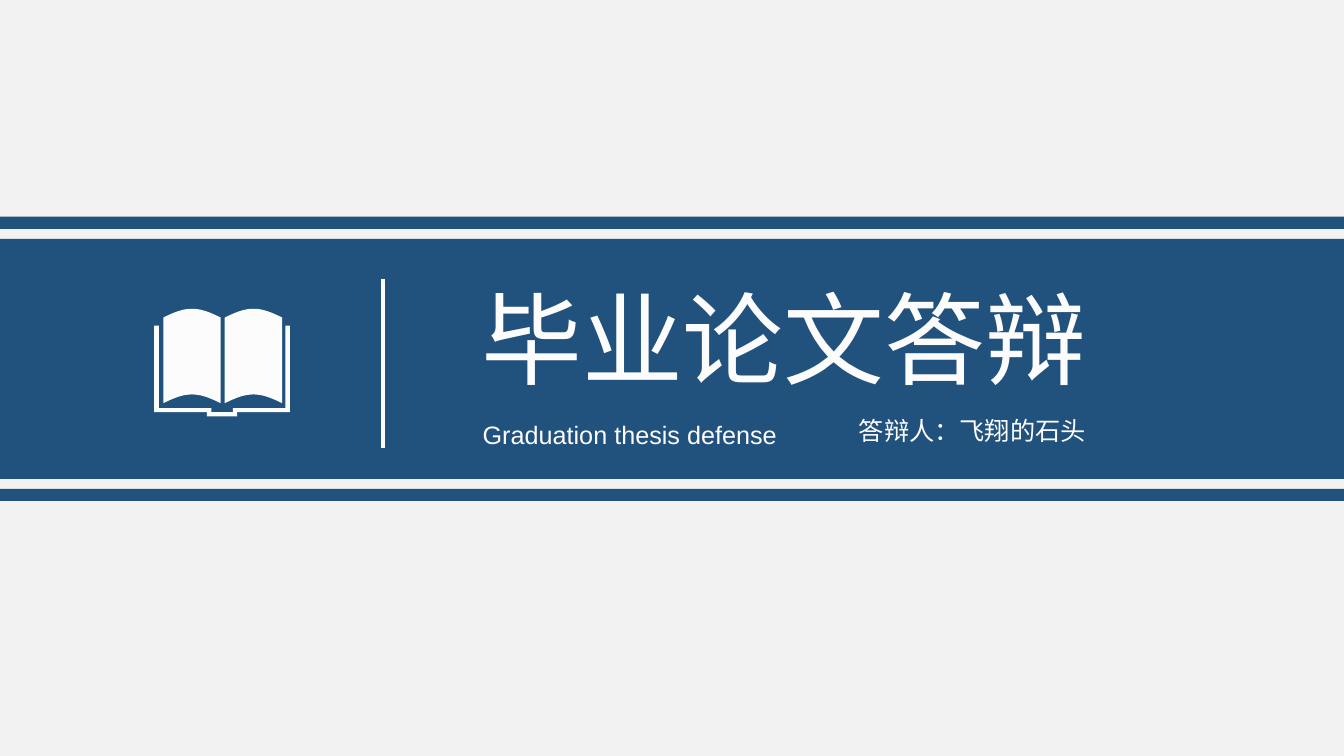
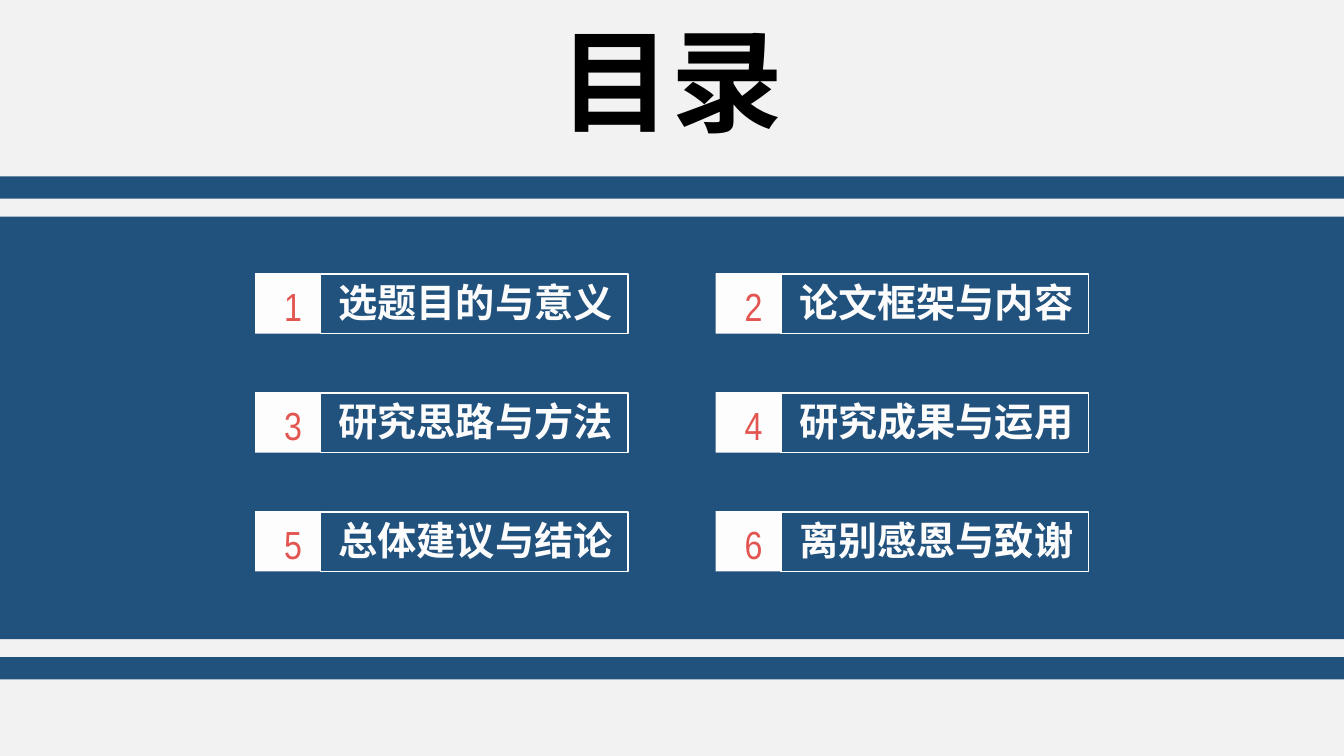
from math import pi, sin

from lxml.etree import SubElement
from pptx import Presentation
from pptx.dml.color import RGBColor
from pptx.enum.shapes import MSO_CONNECTOR as Connector, MSO_SHAPE as Shape
from pptx.enum.text import MSO_ANCHOR as Anchor, PP_ALIGN as Align
from pptx.oxml.ns import qn
from pptx.util import Emu, Pt

SLIDE_WIDTH = Emu(12192000)
SLIDE_HEIGHT = Emu(6858000)
COLUMNS = 40
CELL = SLIDE_WIDTH / COLUMNS

NAVY = RGBColor(0x21, 0x51, 0x7D)
PAPER = RGBColor(0xF2, 0xF2, 0xF2)
WHITE = RGBColor(0xFC, 0xFC, 0xFC)
TILE_WHITE = RGBColor(0xFD, 0xFD, 0xFD)
CORAL = RGBColor(0xE3, 0x55, 0x51)
BLACK = RGBColor(0, 0, 0)

CJK = "Noto Sans CJK SC"
CJK_TITLE = "Noto Sans CJK JP"
CJK_SPACING = 0.9

COVER_TITLE = {"name": CJK_TITLE, "size": Pt(72), "color": WHITE}
COVER_SUBTITLE = {"name": "Arial", "size": Pt(18), "color": WHITE}
COVER_AUTHOR = {"name": CJK, "size": Pt(18), "color": WHITE}
AGENDA_TITLE = {"name": CJK, "size": Pt(80), "bold": True, "color": BLACK}
ITEM_LABEL = {"name": CJK, "size": Pt(28), "bold": True, "color": WHITE}
ITEM_NUMBER = {"name": "Arial Narrow", "size": Pt(28), "color": CORAL}

AGENDA = [
    "选题目的与意义",
    "论文框架与内容",
    "研究思路与方法",
    "研究成果与运用",
    "总体建议与结论",
    "离别感恩与致谢",
]


def cells(*counts):
    return [Emu(round(count * CELL)) for count in counts]


def add_page(deck):
    page = deck.slides.add_slide(deck.slide_layouts[6])
    page.background.fill.solid()
    page.background.fill.fore_color.rgb = PAPER
    return page


def paint(shape, fill=None, line=None):
    shape.shadow.inherit = False
    if fill is None:
        shape.fill.background()
    else:
        shape.fill.solid()
        shape.fill.fore_color.rgb = fill
    if line is None:
        shape.line.fill.background()
    else:
        shape.line.color.rgb = line
        shape.line.width = Pt(1)


def add_rect(page, area, **colors):
    paint(page.shapes.add_shape(Shape.RECTANGLE, *cells(*area)), **colors)


def add_outline(page, points, fill):
    start, *rest = [cells(*point) for point in points]
    builder = page.shapes.build_freeform(*start)
    builder.add_line_segments(rest, close=True)
    paint(builder.convert_to_shape(), fill=fill)


def add_text(page, area, text, style, align=Align.CENTER, wrap=True):
    frame = page.shapes.add_textbox(*cells(*area)).text_frame
    settings = {
        "word_wrap": wrap,
        "vertical_anchor": Anchor.MIDDLE,
        "margin_top": 0,
        "margin_bottom": 0,
    }
    for name, value in settings.items():
        setattr(frame, name, value)
    para = frame.paragraphs[0]
    para.alignment = align
    span = para.add_run()
    span.text = text
    for name, value in style.items():
        if name == "color":
            span.font.color.rgb = value
        else:
            setattr(span.font, name, value)
    if style["name"] in (CJK, CJK_TITLE):
        para.line_spacing = CJK_SPACING
        east_asian = SubElement(span.font._element, qn("a:ea"))
        east_asian.set("typeface", style["name"])


def add_band(page, top, height, strip, gap):
    bars = [
        (top - gap - strip, strip),
        (top, height),
        (top + height + gap, strip),
    ]
    for bar_top, bar_height in bars:
        add_rect(page, (0, bar_top, COLUMNS, bar_height), fill=NAVY)


def add_divider(page, column, top, bottom):
    divider = page.shapes.add_connector(
        Connector.STRAIGHT, *cells(column, top, column, bottom)
    )
    divider.line.color.rgb = WHITE
    divider.line.width = Pt(2.25)
    SubElement(divider._element.spPr, qn("a:effectLst"))


def add_book_leaf(page, left, width=1.71, top=9.45, bottom=12, rise=0.26, steps=20):
    curve = [
        (left + width * step / steps, rise * sin(pi * step / steps))
        for step in range(steps + 1)
    ]
    upper = [(x, top - lift) for x, lift in curve]
    lower = [(x, bottom - lift) for x, lift in reversed(curve)]
    add_outline(page, upper + lower, WHITE)


def add_book(page):
    for left in (4.86, 6.69):
        add_book_leaf(page, left)
    center = 6.61
    half_cover = [
        (0.45, 12.39), (0.45, 12.27), (2.02, 12.27), (2.02, 9.69),
        (1.88, 9.69), (1.88, 12.15), (0.32, 12.15), (0.32, 12.27),
    ]
    right = [(center + offset, y) for offset, y in half_cover]
    left = [(center - offset, y) for offset, y in reversed(half_cover)]
    add_outline(page, right + left, WHITE)


def add_agenda_item(page, left, top, number, label):
    add_text(page, (left + 2.19, top + 0.08, 8.85, 1.71), label, ITEM_LABEL,
             align=Align.LEFT, wrap=False)
    add_rect(page, (left, top, 1.95, 1.8), fill=TILE_WHITE)
    add_rect(page, (left + 1.95, top + 0.03, 9.15, 1.77), line=TILE_WHITE)
    add_text(page, (left + 0.57, top + 0.12, 0.78, 1.71), str(number), ITEM_NUMBER)


def build_cover(deck):
    page = add_page(deck)
    add_band(page, top=7.11, height=7.14, strip=0.36, gap=0.3)
    add_book(page)
    add_divider(page, 11.4, 8.31, 13.32)
    add_text(page, (13.89, 8.31, 18.87, 3.93), "毕业论文答辩", COVER_TITLE)
    add_text(page, (14.07, 12.33, 10.74, 1.2), "Graduation thesis defense",
             COVER_SUBTITLE, align=Align.JUSTIFY)
    add_text(page, (25.11, 12.27, 7.65, 1.2), "答辩人：飞翔的石头", COVER_AUTHOR)


def build_agenda(deck):
    page = add_page(deck)
    add_band(page, top=6.45, height=12.57, strip=0.66, gap=0.54)
    add_text(page, (15.33, 0.42, 9.33, 4.35), "目录", AGENDA_TITLE)
    for index, label in enumerate(AGENDA):
        row, column = divmod(index, 2)
        add_agenda_item(page, 7.59 + 13.71 * column, 8.13 + 3.54 * row,
                        index + 1, label)


def main():
    deck = Presentation()
    deck.slide_width = SLIDE_WIDTH
    deck.slide_height = SLIDE_HEIGHT
    build_cover(deck)
    build_agenda(deck)
    deck.save("out.pptx")


if __name__ == "__main__":
    main()
